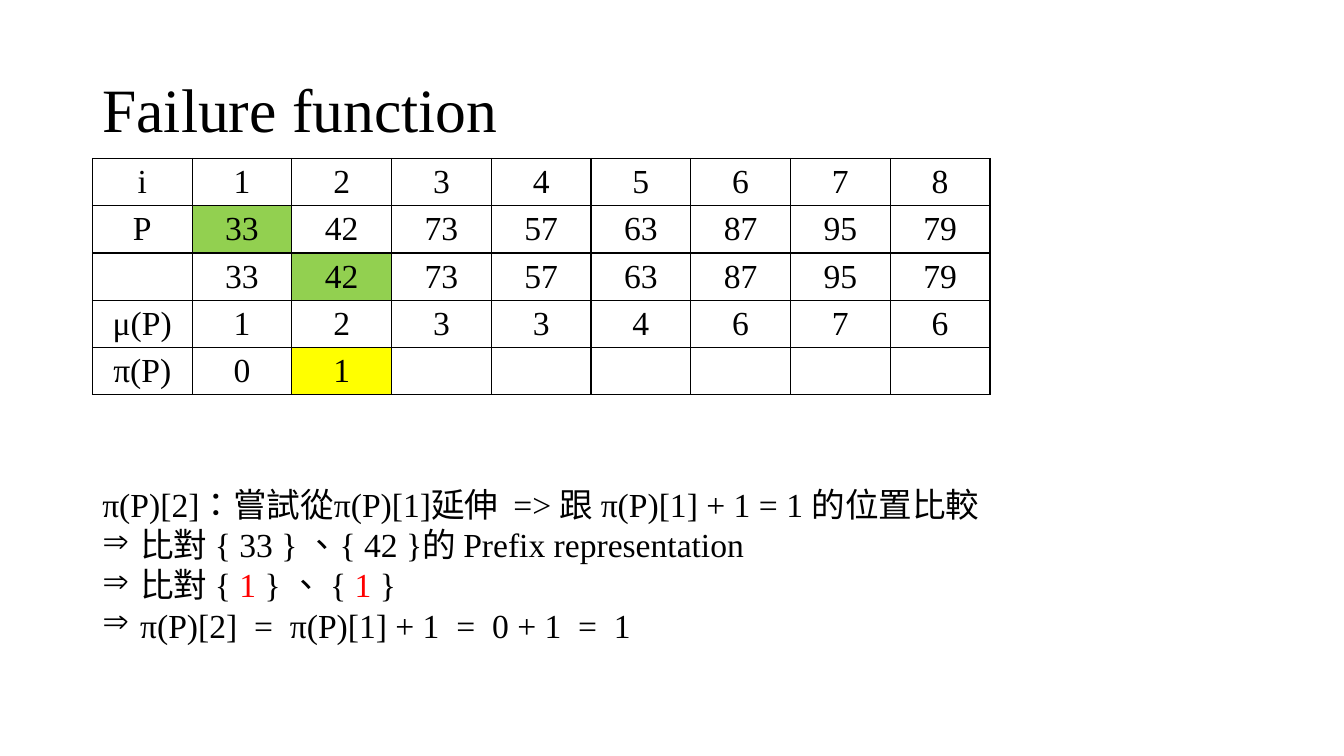
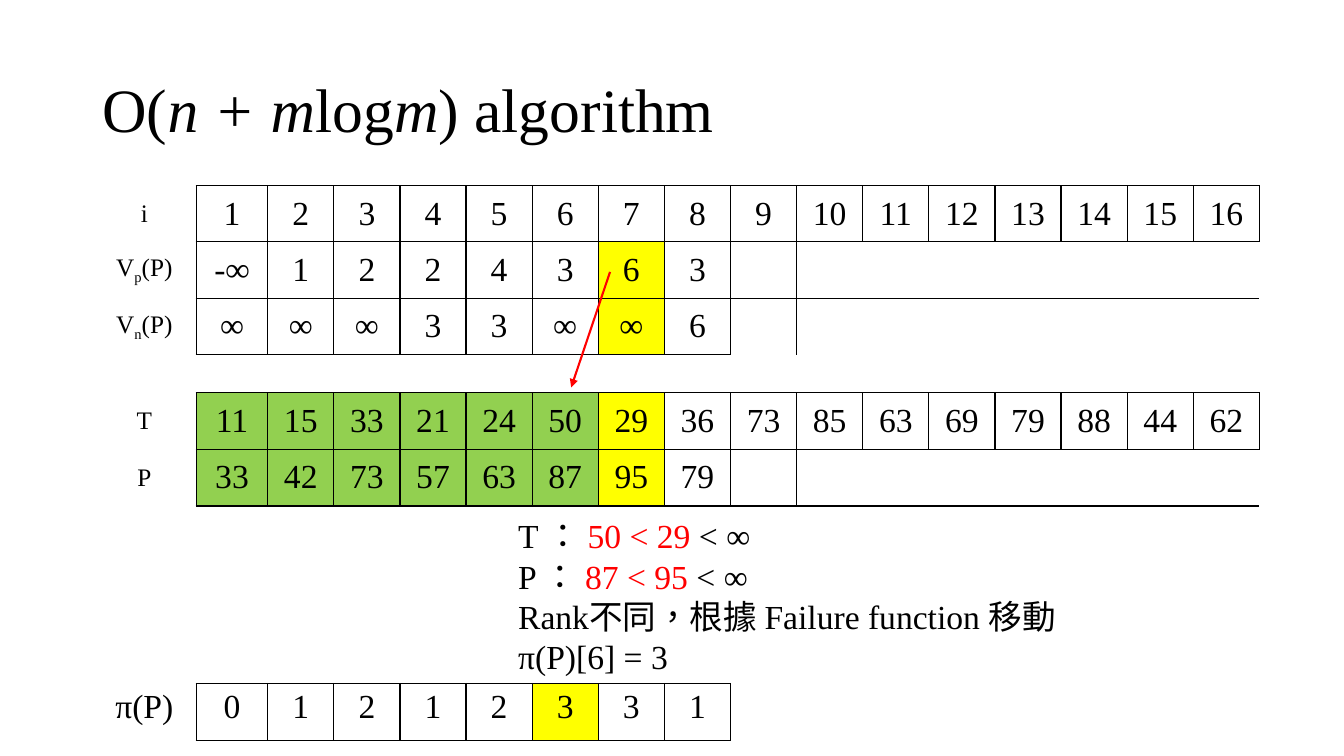
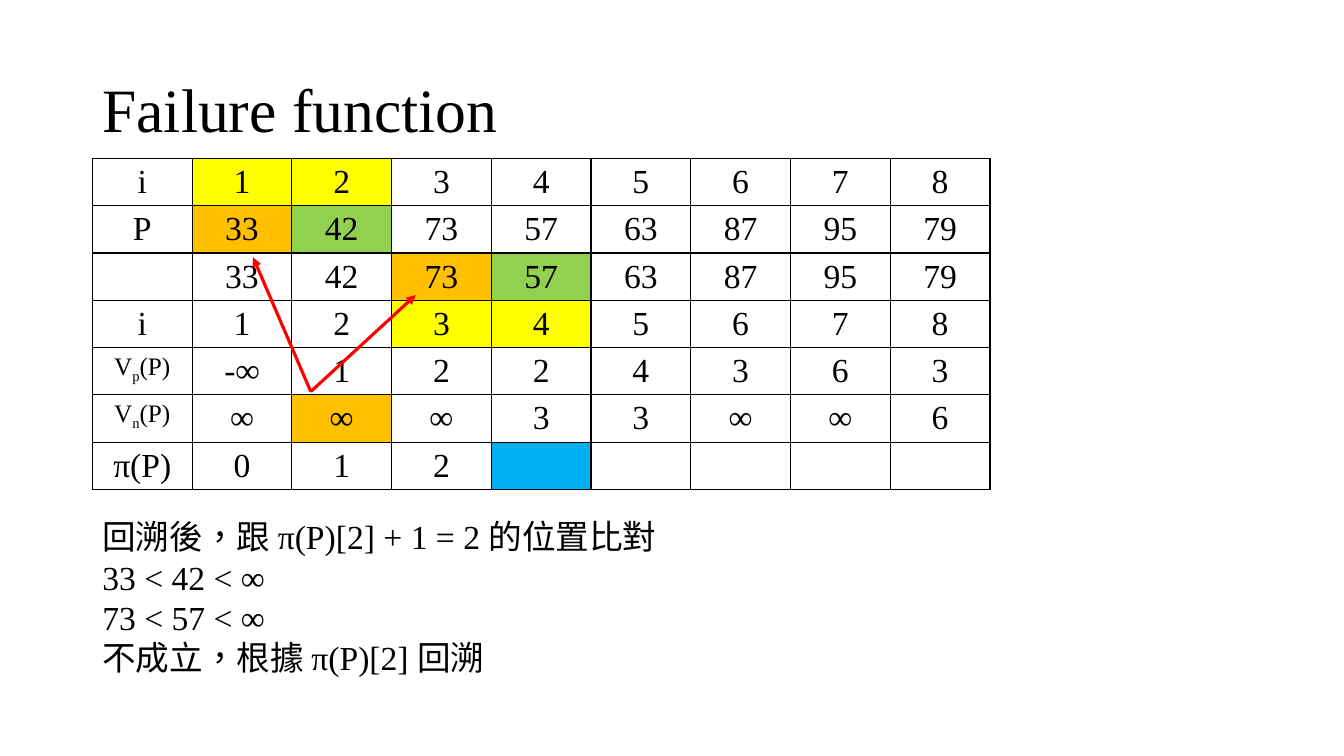
from lxml import etree
from pptx import Presentation, util as u
from pptx.dml.color import RGBColor
from pptx.enum import lang, shapes, text
from pptx.oxml.ns import qn

PX = 9525
FONT, HAN = "Times New Roman", "Noto Sans CJK SC"
BLACK = RGBColor(0, 0, 0)
RED = RGBColor(0xFF, 0, 0)
GREEN = RGBColor(0x92, 0xD0, 0x50)
YELLOW = RGBColor(0xFF, 0xFF, 0)
ORANGE = RGBColor(0xFF, 0xC0, 0)
BLUE = RGBColor(0, 0xB0, 0xF0)
PLAIN = "{2D5ABB26-0587-4C30-8999-92F81FD0307C}"  # no style, no grid
LEFT = 88
TOP, MID = text.MSO_ANCHOR.TOP, text.MSO_ANCHOR.MIDDLE


def write(par, words, size):
    """Styled parts stand between ~ marks: ! red, / italic, # bold, _ subscript."""
    font = par.font
    font.size, font.name = u.Pt(size), FONT
    font.color.rgb = BLACK
    font.language_id = lang.MSO_LANGUAGE_ID.TRADITIONAL_CHINESE
    etree.SubElement(font._element, qn("a:ea"), typeface=HAN)
    for k, part in enumerate(words.split("~")):
        if not part:
            continue
        run = par.add_run()
        run.text = part[1:] if k % 2 else part
        if k % 2:
            if part[0] == "!":
                run.font.color.rgb = RED
            elif part[0] == "/":
                run.font.italic = True
            elif part[0] == "#":
                run.font.bold = True
            else:
                run.font._element.set("baseline", "-25000")


def draw_table(slide, top, cols, highs, rows, fills, full, anchor, small):
    """Full tables have every border; others box only the filled value cells."""
    frame = slide.shapes.add_table(len(rows), len(cols), LEFT * PX, top * PX,
                                   sum(cols) * PX, sum(highs) * PX)
    table = frame.table
    table.first_row = table.horz_banding = False
    table._tbl.tblPr.find(qn("a:tableStyleId")).text = PLAIN
    for col, wide in zip(table.columns, cols):
        col.width = wide * PX
    for row, high in zip(table.rows, highs):
        row.height = high * PX
    grid = [row + [""] * (len(cols) - len(row)) for row in rows]
    boxed = {(r, c) for r, row in enumerate(grid) for c, words in enumerate(row)
             if full or (c and words)}
    shade = {spot: rgb for rgb, spots in fills.items() for spot in spots}
    for r, row in enumerate(grid):
        for c, words in enumerate(row):
            cell = table.cell(r, c)
            cell.vertical_anchor = anchor
            par = cell.text_frame.paragraphs[0]
            par.alignment = text.PP_ALIGN.CENTER
            size = 24 if words else 12
            if c == 0 and words and (words in small or words[0] == "V"):
                size = 18
            write(par, words, size)
            # Borders, shared with the neighbouring cell
            for side, near in (("L", (r, c - 1)), ("R", (r, c + 1)),
                               ("T", (r - 1, c)), ("B", (r + 1, c))):
                base = side == "B" and r == len(grid) - 1 and c > 0
                if base or (r, c) in boxed or near in boxed:
                    line = etree.SubElement(cell._tc.get_or_add_tcPr(),
                                            qn("a:ln" + side), w="12700")
                    ink = etree.SubElement(line, qn("a:solidFill"))
                    etree.SubElement(ink, qn("a:srgbClr"), val=str(BLACK))
            if (r, c) in shade:
                cell.fill.solid()
                cell.fill.fore_color.rgb = shade[r, c]
            else:
                cell.fill.background()


# Values that several tables share
P = "33 42 73 57 63 87 95 79".split()
T = "11 15 33 21 24 50 29 36 73 85 63 69 79 88 44 62".split()
I = [str(n) for n in range(1, 17)]
VP = ["V~_p~(P)", "-~#∞~", *"1 2 2 4 3 6 3".split()]
VN = ["V~_n~(P)", *"∞ ∞ ∞ 3 3 ∞ ∞ 6".split()]
EVEN = [95] * 9
WIDE = [99, 68] + [63] * 15

# Each slide: title, tables, note (left, top, width, lines), arrows (points, width)
DECK = [
    ("Failure function",
     [(151, EVEN, [45] * 5,
       [["i", *I[:8]], ["P", *P], ["", *P],
        ["μ(P)", *"1 2 3 3 4 6 7 6".split()], ["π(P)", "0", "1"]],
       {GREEN: [(1, 1), (2, 2)], YELLOW: [(4, 2)]}, True, TOP, "")],
     (LEFT, 456, 935,
      ["π(P)[2]：嘗試從π(P)[1]延伸  => 跟 π(P)[1] + 1 = 1 的位置比較",
       "⇒比對 { 33 } 、{ 42 }的 Prefix representation",
       "⇒比對 { ~!1~ } 、 { ~!1 ~}",
       "⇒π(P)[2]  =  π(P)[1] + 1  =  0 + 1  =  1"]),
     []),
    ("O(~/n + m~log~/m~) algorithm",
     [(177, WIDE, [53, 54, 54, 36, 54, 54],
       [["i", *I], VP, VN, [], ["T", *T], ["P", *P]],
       {GREEN: [(r, c) for r in (4, 5) for c in range(1, 7)],
        YELLOW: [(r, 7) for r in (1, 2, 4, 5)]}, False, MID, "iTP"),
      (651, WIDE[:9], [54], [["π(P)", *"0 1 2 1 2 3 3 1".split()]],
       {YELLOW: [(0, 6)]}, False, TOP, "")],
     (484, 486, 635,
      ["T ： ~!50 < 29 ~< ∞", "P ： ~!87 < 95 ~< ∞",
       "Rank不同，根據 Failure function 移動", "π(P)[6] = 3"]),
     [((581, 259, 544, 369), 1.5)]),
    ("Failure function",
     [(151, EVEN, [45] * 7,
       [["i", *I[:8]], ["P", *P], ["", *P], ["i", *I[:8]], VP, VN,
        ["π(P)", "0", "1", "2"]],
       {YELLOW: [(0, 1), (0, 2), (3, 3), (3, 4)], GREEN: [(1, 2), (2, 4)],
        ORANGE: [(1, 1), (2, 3), (5, 2)], BLUE: [(6, 4)]}, True, TOP, "")],
     (LEFT, 487, 779,
      ["回溯後，跟 π(P)[2] + 1 = 2 的位置比對", "33 < 42 < ∞",
       "73 < 57 < ∞", "不成立，根據 π(P)[2] 回溯"]),
     [((296, 373, 241, 245), 2.25), ((296, 373, 396, 281), 2.25)]),
]

prs = Presentation()
prs.slide_width, prs.slide_height = 1280 * PX, 720 * PX

for head, tables, note, arrows in DECK:
    slide = prs.slides.add_slide(prs.slide_layouts[5])

    # Title
    title = slide.shapes.title
    title.left, title.top = LEFT * PX, 38 * PX
    title.width, title.height = 1104 * PX, 139 * PX
    title.text_frame.vertical_anchor = MID
    par = title.text_frame.paragraphs[0]
    par.alignment = text.PP_ALIGN.LEFT
    par.line_spacing = 0.9
    write(par, head, 44)

    for spec_row in tables:
        draw_table(slide, *spec_row)

    # Note
    left, top, wide, lines = note
    box = slide.shapes.add_textbox(left * PX, top * PX, wide * PX, 165 * PX)
    frame = box.text_frame
    frame.word_wrap = True
    for k, words in enumerate(lines):
        par = frame.add_paragraph() if k else frame.paragraphs[0]
        if words[0] == "⇒":
            props = par._p.get_or_add_pPr()
            props.set("marL", str(36 * PX))
            props.set("indent", str(-36 * PX))
            etree.SubElement(props, qn("a:buChar"), char="⇒")
            words = words[1:]
        write(par, words, 24)

    # Arrows
    for ends, width in arrows:
        arrow = slide.shapes.add_connector(shapes.MSO_CONNECTOR.STRAIGHT,
                                           *(n * PX for n in ends))
        arrow.line.color.rgb = RED
        arrow.line.width = u.Pt(width)
        etree.SubElement(arrow.line._get_or_add_ln(), qn("a:tailEnd"), type="triangle")
        etree.SubElement(arrow._element.spPr, qn("a:effectLst"))

prs.save("out.pptx")
